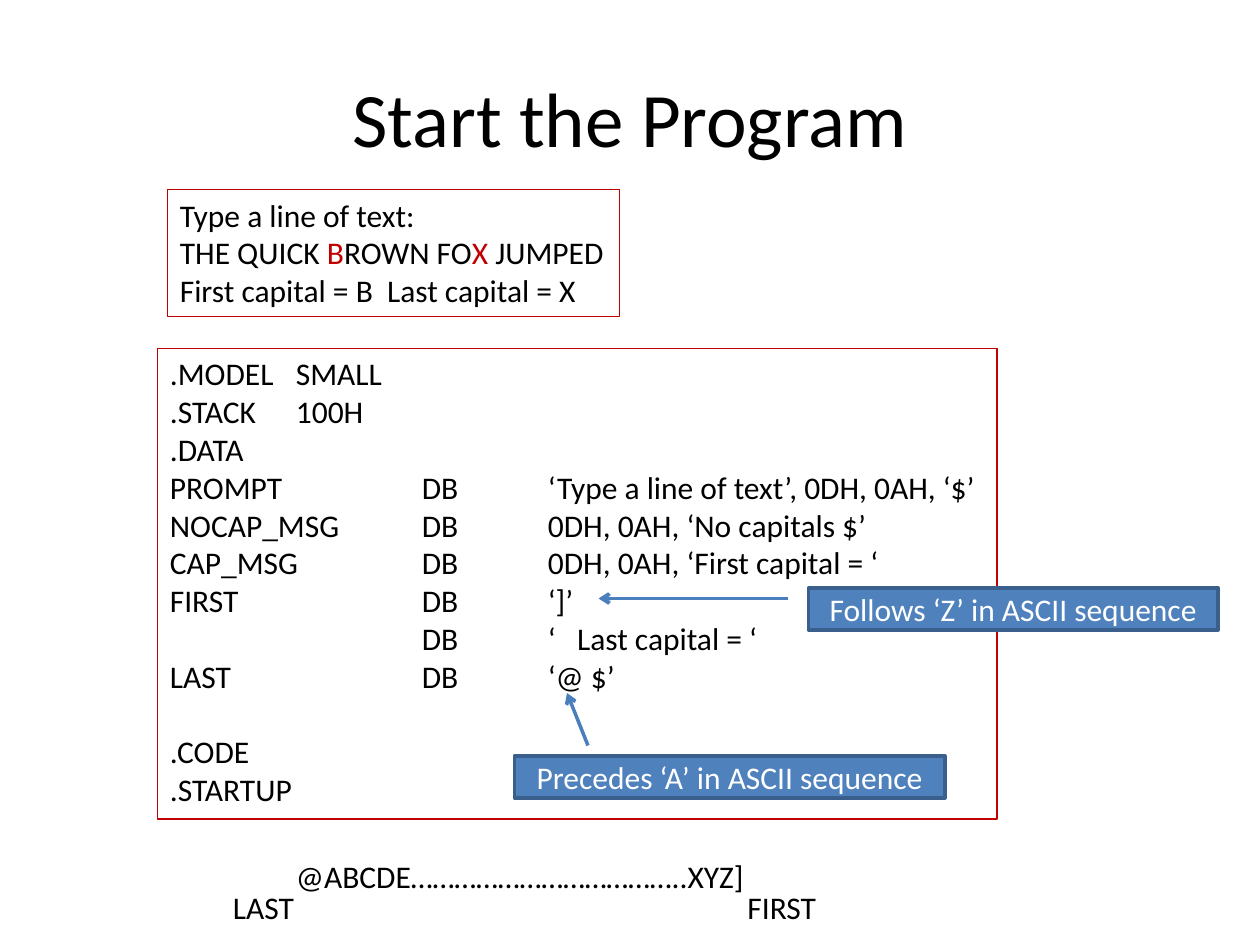
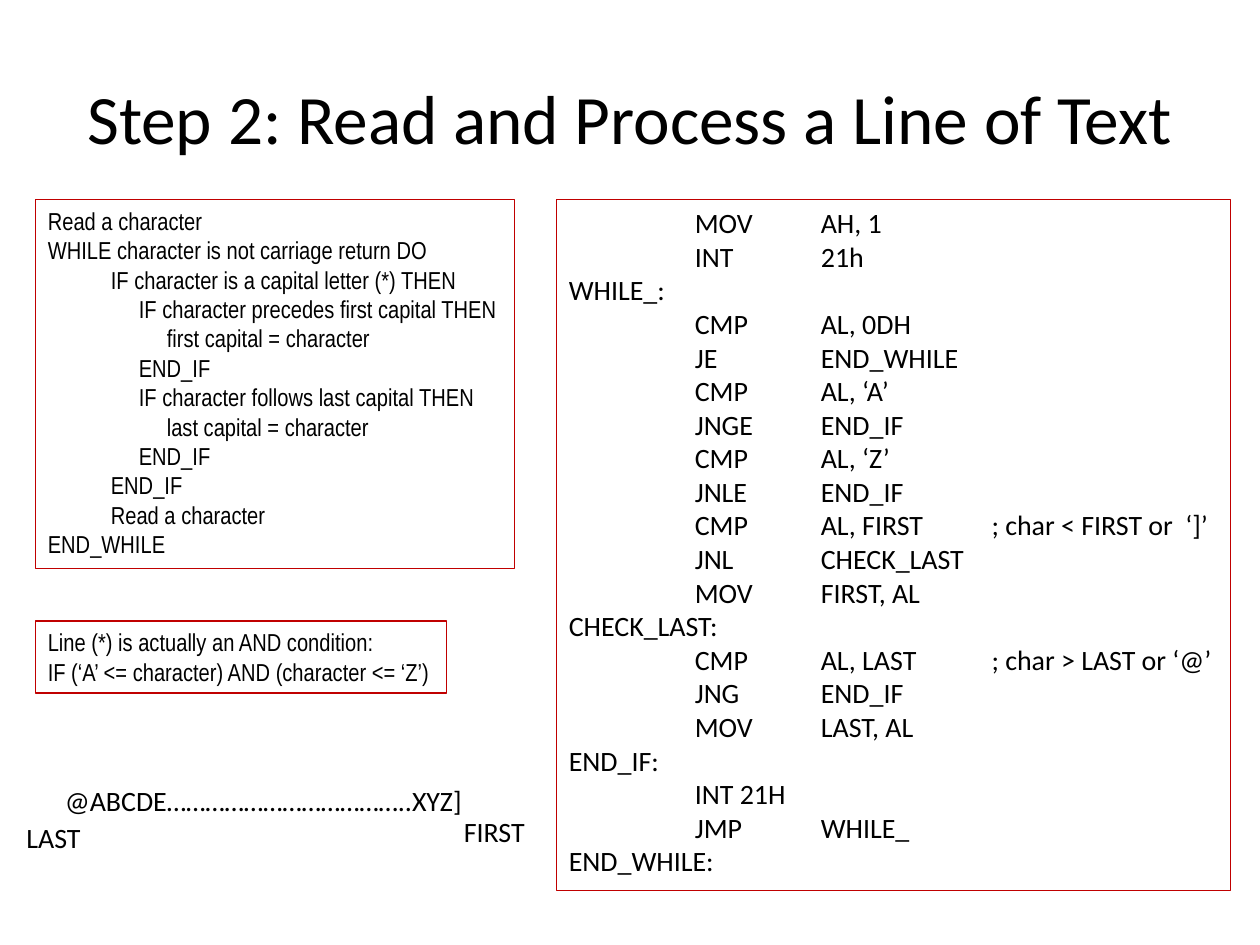
from dataclasses import dataclass

from lxml import etree
from pptx import Presentation
from pptx.dml.color import RGBColor
from pptx.enum.shapes import MSO_CONNECTOR, MSO_SHAPE
from pptx.enum.text import MSO_ANCHOR, PP_ALIGN
from pptx.oxml.ns import qn
from pptx.util import Pt

STRAIGHT = MSO_CONNECTOR.STRAIGHT
RECTANGLE = MSO_SHAPE.RECTANGLE
TOP, MIDDLE = MSO_ANCHOR.TOP, MSO_ANCHOR.MIDDLE
LEFT, CENTER = PP_ALIGN.LEFT, PP_ALIGN.CENTER


@dataclass(frozen=True)
class Theme:
    black: str = "000000"
    white: str = "FFFFFF"
    red: str = "C00000"
    blue: str = "4F81BD"
    blue_edge: str = "3A5F8C"
    arrow: str = "4B7EBC"
    font: str = "Calibri"
    narrow: str = "Arial Narrow"
    title: float = 44
    long_title: float = 39.6
    large: float = 18
    medium: float = 16
    small: float = 14
    thin: float = 0.75
    thick: float = 2
    tab: float = 72


@dataclass(frozen=True)
class Line:
    content: str | tuple
    indent: float = 0
    before: float = 0
    tabs: tuple = ()


THEME = Theme()


def write_text(shape, lines, *, size, font=THEME.font, color=THEME.black,
               align=LEFT, anchor=TOP, wrap=False):
    frame = shape.text_frame
    frame.word_wrap = wrap
    frame.vertical_anchor = anchor
    for index, line in enumerate(lines):
        if isinstance(line, str):
            line = Line(line)
        paragraph = frame.add_paragraph() if index else frame.paragraphs[0]
        paragraph.alignment = align
        properties = paragraph._p.get_or_add_pPr()
        properties.set("defTabSz", str(Pt(THEME.tab)))
        if line.before:
            paragraph.space_before = Pt(line.before)
        if line.indent:
            properties.set("marL", str(Pt(line.indent)))
            properties.set("indent", "0")
        if line.tabs:
            stops = etree.SubElement(properties, qn("a:tabLst"))
            for stop in line.tabs:
                etree.SubElement(stops, qn("a:tab"), pos=str(Pt(stop)), algn="l")
        parts = line.content
        if isinstance(parts, str):
            parts = ((parts, color),)
        for text, part_color in parts:
            run = paragraph.add_run()
            run.text = text
            run.font.name = font
            run.font.size = Pt(size)
            run.font.color.rgb = RGBColor.from_string(part_color)


class Deck:
    def __init__(self, theme):
        self.theme = theme
        self.presentation = Presentation()
        self.presentation.slide_width = Pt(720)
        self.presentation.slide_height = Pt(540)
        self.slide = None

    def new_slide(self, title, size):
        layout = self.presentation.slide_layouts[6]
        self.slide = self.presentation.slides.add_slide(layout)
        shape = self.slide.shapes.add_textbox(Pt(36), Pt(21.6), Pt(648), Pt(90))
        write_text(shape, [title], size=size, align=CENTER, anchor=MIDDLE, wrap=True)

    def rectangle(self, bounds, edge, width):
        shape = self.slide.shapes.add_shape(RECTANGLE, *map(Pt, bounds))
        shape.shadow.inherit = False
        shape.fill.background()
        shape.line.color.rgb = RGBColor.from_string(edge)
        shape.line.width = Pt(width)
        return shape

    def listing(self, bounds, lines, **text_format):
        shape = self.rectangle(bounds, self.theme.red, self.theme.thin)
        write_text(shape, lines, **text_format)

    def callout(self, bounds, text):
        shape = self.rectangle(bounds, self.theme.blue_edge, self.theme.thick)
        shape.fill.solid()
        shape.fill.fore_color.rgb = RGBColor.from_string(self.theme.blue)
        write_text(shape, [text], size=self.theme.large, color=self.theme.white,
                   align=CENTER, anchor=MIDDLE, wrap=True)

    def arrow(self, start, end):
        connector = self.slide.shapes.add_connector(
            STRAIGHT, *map(Pt, (*start, *end)))
        connector.line.color.rgb = RGBColor.from_string(self.theme.arrow)
        connector.line.width = Pt(self.theme.thick)
        outline = connector.line._get_or_add_ln()
        etree.SubElement(outline, qn("a:tailEnd"), type="arrow")
        etree.SubElement(connector._element.spPr, qn("a:effectLst"))

    def ascii_range(self, size, letters, first, last):
        group = self.slide.shapes.add_group_shape()
        labels = (("@ABCDE………………………………..XYZ]", letters),
                  ("FIRST", first), ("LAST", last))
        for text, bounds in labels:
            shape = group.shapes.add_textbox(*map(Pt, bounds))
            write_text(shape, [text], size=size)


def build_start(deck):
    theme = deck.theme
    deck.new_slide("Start the Program", theme.title)
    program = [
        ".MODEL\tSMALL",
        ".STACK\t100H",
        ".DATA",
        "PROMPT\t\tDB\t‘Type a line of text’, 0DH, 0AH, ‘$’",
        "NOCAP_MSG\tDB\t0DH, 0AH, ‘No capitals $’",
        "CAP_MSG\tDB\t0DH, 0AH, ‘First capital = ‘",
        "FIRST\t\tDB\t‘]’",
        "\t\tDB\t‘   Last capital = ‘",
        "LAST\t\tDB\t‘@ $’",
        Line(".CODE", before=21.6),
        ".STARTUP",
    ]
    deck.listing((90, 199, 479.7, 269), program, size=theme.large)
    sample = (("THE QUICK ", theme.black), ("B", theme.red),
              ("ROWN FO", theme.black), ("X", theme.red),
              (" JUMPED", theme.black))
    deck.listing((95.7, 108.2, 258.3, 72.7),
                 ["Type a line of text:", Line(sample),
                  "First capital = B  Last capital = X"], size=theme.large)
    deck.callout((462, 336, 234, 24), "Follows ‘Z’ in ASCII sequence")
    deck.callout((294, 432, 246, 24), "Precedes ‘A’ in ASCII sequence")
    deck.arrow((336, 426), (324, 396))
    deck.arrow((450, 342), (342, 342))
    deck.ascii_range(theme.large, letters=(162, 486, 273, 29),
                     first=(420, 504, 54, 29), last=(126, 504, 49.7, 29))


def build_process(deck):
    theme = deck.theme
    deck.new_slide("Step 2: Read and Process a Line of Text", theme.long_title)
    body, nested, deepest = 36, 52, 68
    pseudocode = [
        "Read a character",
        "WHILE character is not carriage return DO",
        Line("IF character is a capital letter (*) THEN", body),
        Line("IF character precedes first capital THEN", nested),
        Line("first capital = character", deepest),
        Line("END_IF", nested),
        Line("IF character follows last capital THEN", nested),
        Line("last capital = character", deepest),
        Line("END_IF", nested),
        Line("END_IF", body),
        Line("Read a character", body),
        "END_WHILE",
    ]
    deck.listing((20.25, 114, 273.8, 211), pseudocode,
                 size=theme.small, font=theme.narrow)
    deck.listing((20.25, 354.9, 235, 41.2),
                 ["Line (*) is actually an AND condition:",
                  "IF (‘A’ <= character) AND (character <= ‘Z’)"],
                 size=theme.small, font=theme.narrow)
    comment_tabs = (72, 144, 241.5)
    assembly = [
        "\tMOV\tAH, 1",
        "\tINT\t21h",
        "WHILE_:",
        "\tCMP\tAL, 0DH",
        "\tJE\tEND_WHILE",
        "\tCMP\tAL, ‘A’",
        "\tJNGE\tEND_IF",
        "\tCMP\tAL, ‘Z’",
        "\tJNLE\tEND_IF",
        Line("\tCMP\tAL, FIRST\t; char < FIRST or  ‘]’", tabs=comment_tabs),
        "\tJNL\tCHECK_LAST",
        "\tMOV\tFIRST, AL",
        "CHECK_LAST:",
        Line("\tCMP\tAL, LAST\t; char > LAST or ‘@’", tabs=comment_tabs),
        "\tJNG\tEND_IF",
        "\tMOV\tLAST, AL",
        "END_IF:",
        "\tINT 21H",
        "\tJMP\tWHILE_",
        "END_WHILE:",
    ]
    deck.listing((318, 114, 385.2, 395), assembly, size=theme.medium)
    deck.ascii_range(theme.medium, letters=(30, 444, 243.4, 26.6),
                     first=(258, 462, 49.7, 26.6), last=(8, 465.3, 46, 26.6))


def main():
    deck = Deck(THEME)
    build_start(deck)
    build_process(deck)
    deck.presentation.save("out.pptx")


if __name__ == "__main__":
    main()
